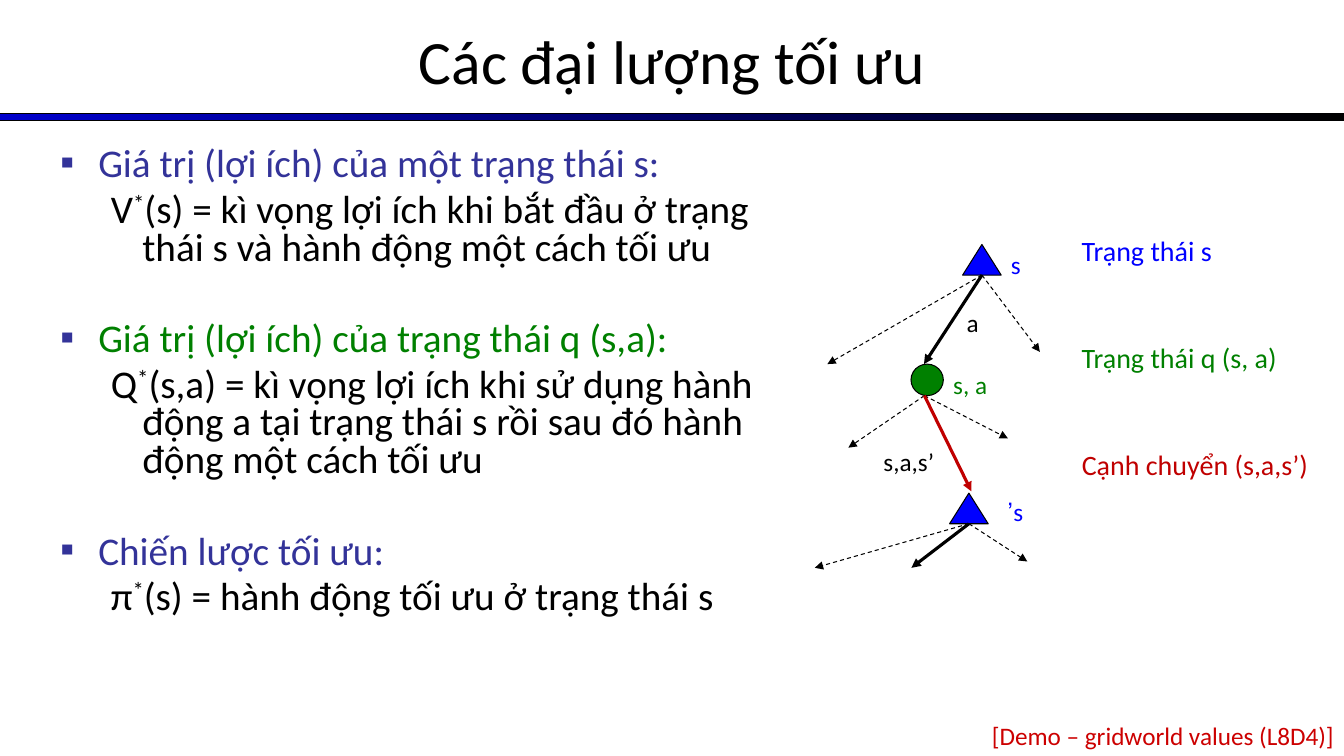
"""Build the slide on optimal quantities, laid out on a grid of 160 columns by 90 rows."""
from dataclasses import dataclass
from typing import NamedTuple

from lxml import etree
from pptx import Presentation
from pptx.dml.color import RGBColor
from pptx.enum.dml import MSO_LINE
from pptx.enum.shapes import MSO_CONNECTOR, MSO_SHAPE
from pptx.enum.text import MSO_ANCHOR, MSO_AUTO_SIZE, PP_ALIGN
from pptx.oxml.ns import qn
from pptx.util import Inches, Pt

DASH = MSO_LINE.DASH
LINE = MSO_CONNECTOR.STRAIGHT
RECT, OVAL, PEAK = MSO_SHAPE.RECTANGLE, MSO_SHAPE.OVAL, MSO_SHAPE.ISOSCELES_TRIANGLE
LEFT, MID, RIGHT = PP_ALIGN.LEFT, PP_ALIGN.CENTER, PP_ALIGN.RIGHT
WIDE, HIGH = Inches(13.333), Inches(7.5)
COLS, ROWS = 160, 90


@dataclass(frozen=True)
class Theme:
    font: str = "Calibri"
    black: str = "000000"
    navy: str = "0000CC"
    blue: str = "0000FF"
    green: str = "008000"
    red: str = "C00000"
    demo: str = "CC0000"
    head: str = "333399"
    title: int = 44
    body: int = 28
    key: int = 20
    tag: int = 18
    thin: float = 0.75
    bold: float = 2.25


T = Theme()


class Box(NamedTuple):
    x: float
    y: float
    w: float
    h: float


class Node(NamedTuple):
    kind: int
    box: Box
    color: str


class Edge(NamedTuple):
    x: float
    y: float
    color: str = T.black
    bold: bool = False


class Fan(NamedTuple):
    x: float
    y: float
    edges: list[Edge]


class Label(NamedTuple):
    text: str
    x: float
    y: float
    w: float
    color: str
    size: int = T.tag
    align: int = LEFT
    rtl: bool = False


class Item(NamedTuple):
    head: str
    color: str
    sign: str
    text: str


NODES = [
    Node(PEAK, Box(114.6, 29.1, 4.6, 3.65), T.blue),
    Node(PEAK, Box(113.05, 58.7, 4.6, 3.65), T.blue),
    Node(OVAL, Box(108.45, 43.35, 3.85, 3.75), T.green),
]
FANS = [
    Fan(116.9, 32.75, [Edge(98.5, 43.35), Edge(110, 43.35, bold=True), Edge(123.8, 41.9)]),
    Fan(110.05, 47.1, [Edge(101, 53.3), Edge(120, 52.2), Edge(115.65, 58.5, T.red, True)]),
    Fan(115.35, 62.35, [Edge(97, 67.6), Edge(108.5, 67.6, bold=True), Edge(122.3, 66.85)]),
]
LABELS = [
    Label("a", 113.9, 36, 3.85, T.black),
    Label("s", 119.15, 29.05, 3.85, T.blue),
    Label("s’", 118, 58.45, 5, T.blue, align=RIGHT, rtl=True),
    Label("s, a", 112.3, 43.35, 7.7, T.green),
    Label("s,a,s’", 104, 52.6, 10.8, T.black),
    Label("Trạng thái s", 127.6, 27.25, 21.4, T.blue, T.key),
    Label("Trạng thái q (s, a)", 127.6, 40, 26.4, T.green, T.key),
    Label("Cạnh chuyển (s,a,s’)", 127.6, 52.7, 30.4, T.red, T.key),
    Label("[Demo – gridworld values (L8D4)]", 77, 85.2, 83, T.demo, align=RIGHT),
]
ITEMS = [
    Item("Giá trị (lợi ích) của một trạng thái s:", T.head, "V",
         "(s) = kì vọng lợi ích khi bắt đầu ở trạng thái s và hành động một cách tối ưu"),
    Item("Giá trị (lợi ích) của trạng thái q (s,a):", T.green, "Q",
         "(s,a) = kì vọng lợi ích khi sử dụng hành động a tại trạng thái s "
         "rồi sau đó hành động một cách tối ưu"),
    Item("Chiến lược tối ưu:", T.head, "π", "(s) = hành động tối ưu ở trạng thái s"),
]


def col(n: float) -> int:
    """Turn columns into a length."""
    return round(WIDE * n / COLS)


def row(n: float) -> int:
    """Turn rows into a length."""
    return round(HIGH * n / ROWS)


def spots(box: Box) -> tuple[int, int, int, int]:
    """Turn a grid box into lengths."""
    return col(box.x), row(box.y), col(box.w), row(box.h)


def place(shape, box: Box) -> None:
    """Move a placeholder to a grid box."""
    shape.left, shape.top, shape.width, shape.height = spots(box)
    shape.text_frame.word_wrap = True
    shape.text_frame.auto_size = MSO_AUTO_SIZE.NONE


def write(para, text: str, size: int, color: str, lift: int = 0) -> None:
    """Add one run to a paragraph."""
    run = para.add_run()
    run.text = text
    run.font.name, run.font.size = T.font, Pt(size)
    run.font.color.rgb = RGBColor.from_string(color)
    if lift:
        run._r.get_or_add_rPr().set("baseline", str(lift * 1000))


def indent(para, left: float, hang: float, mark: str = "") -> None:
    """Set the indent and the bullet of a paragraph."""
    props = para._p.get_or_add_pPr()
    props.set("marL", str(col(left)))
    props.set("indent", str(-col(hang)))
    if mark:
        tint = etree.SubElement(props, qn("a:buClr"))
        etree.SubElement(tint, qn("a:srgbClr"), val=T.head)
        etree.SubElement(props, qn("a:buFont"), typeface=T.font)
        etree.SubElement(props, qn("a:buChar"), char=mark)
    else:
        etree.SubElement(props, qn("a:buNone"))


def draw_list(frame, items: list[Item]) -> None:
    """Write each head with its meaning below."""
    for i, item in enumerate(items):
        head = frame.add_paragraph() if i else frame.paragraphs[0]
        indent(head, 4.5, 4.5, "▪")
        head.line_spacing, head.space_before = 0.8, Pt(38.5 if i else 0)
        write(head, item.head, T.body, item.color)
        para = frame.add_paragraph()
        para.level = 1
        indent(para, 9.75, 3.75)
        para.line_spacing, para.space_before = 0.8, Pt(5.6)
        write(para, item.sign, T.body, T.black)
        write(para, "*", T.body, T.black, 30)
        write(para, item.text, T.body, T.black)


def draw_node(shapes, node: Node):
    """Draw a filled shape with a thin black line."""
    shape = shapes.add_shape(node.kind, *spots(node.box))
    shape.shadow.inherit = False
    shape.fill.solid()
    shape.fill.fore_color.rgb = RGBColor.from_string(node.color)
    shape.line.color.rgb = RGBColor.from_string(T.black)
    shape.line.width = Pt(T.thin)
    return shape


def draw_bar(shapes) -> None:
    """Draw the shaded bar below the title."""
    bar = draw_node(shapes, Node(RECT, Box(0, 13.5, COLS, 0.9), T.navy))
    bar.fill.gradient()
    bar.fill.gradient_angle = 0
    for stop, color in zip(bar.fill.gradient_stops, (T.navy, T.black)):
        stop.color.rgb = RGBColor.from_string(color)


def draw_fan(shapes, fan: Fan) -> None:
    """Draw the arrows that leave one node."""
    for edge in fan.edges:
        line = shapes.add_connector(LINE, col(fan.x), row(fan.y), col(edge.x), row(edge.y))
        line.line.color.rgb = RGBColor.from_string(edge.color)
        line.line.width = Pt(T.bold if edge.bold else T.thin)
        if not edge.bold:
            line.line.dash_style = DASH
        etree.SubElement(line.line._get_or_add_ln(), qn("a:tailEnd"), type="triangle")
        etree.SubElement(line._element.spPr, qn("a:effectLst"))


def draw_label(shapes, label: Label) -> None:
    """Draw one line of text."""
    high = 5.25 if label.size == T.key else 4.8
    frame = shapes.add_textbox(*spots(Box(label.x, label.y, label.w, high))).text_frame
    frame.word_wrap = True
    para = frame.paragraphs[0]
    para.alignment = label.align
    if label.rtl:
        para._p.get_or_add_pPr().set("rtl", "1")
    write(para, label.text, label.size, label.color)


def main() -> None:
    """Build and save the slide."""
    deck = Presentation()
    deck.slide_width, deck.slide_height = WIDE, HIGH
    slide = deck.slides.add_slide(deck.slide_layouts[1])
    shapes = slide.shapes
    title, body = shapes.title, slide.placeholders[1]
    place(title, Box(0, -0.4, COLS, 15))
    title.text_frame.vertical_anchor = MSO_ANCHOR.MIDDLE
    para = title.text_frame.paragraphs[0]
    para.alignment = MID
    write(para, "Các đại lượng tối ưu", T.title, T.black)
    place(body, Box(6, 17, 88, 65))
    draw_list(body.text_frame, ITEMS)
    draw_bar(shapes)
    for node in NODES:
        draw_node(shapes, node)
    for fan in FANS:
        draw_fan(shapes, fan)
    for label in LABELS:
        draw_label(shapes, label)
    deck.save("out.pptx")


if __name__ == "__main__":
    main()
